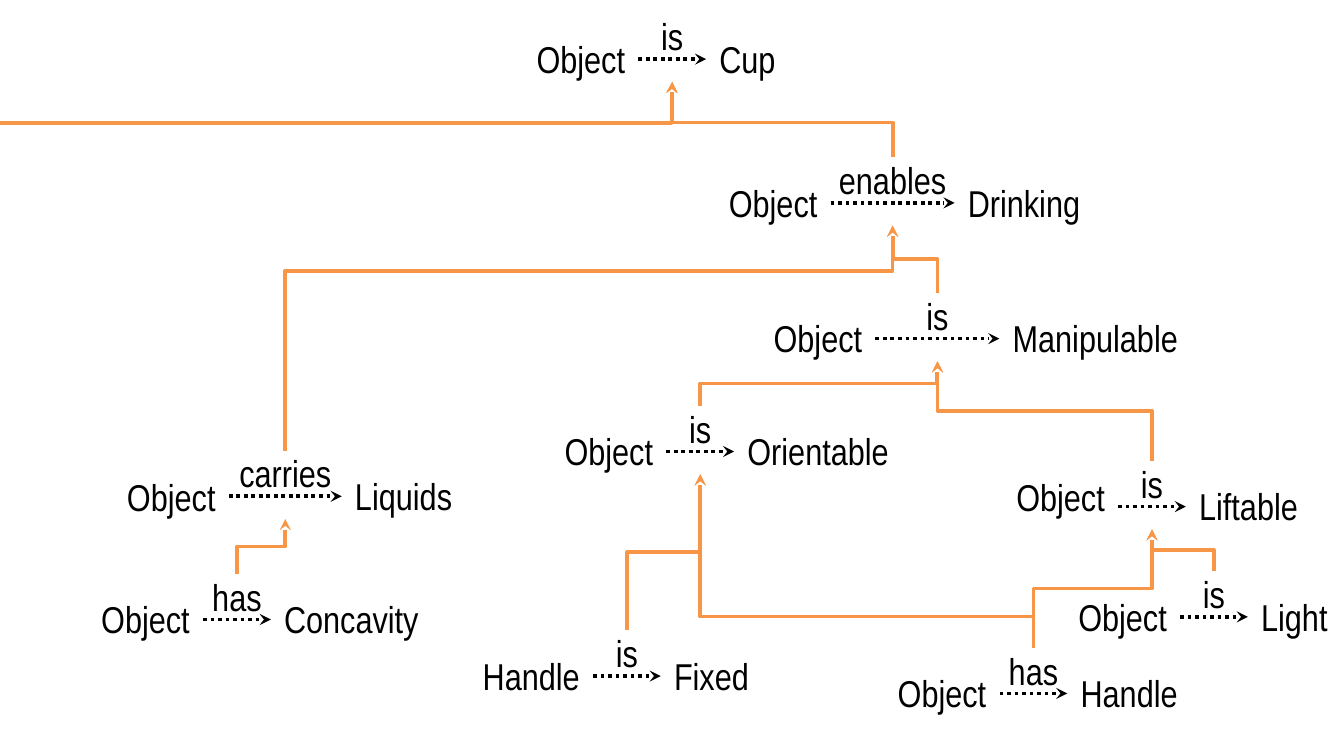
"""Draw a goal tree of subject-verb-object statements explaining what makes an object a cup."""
from dataclasses import dataclass

from lxml.etree import SubElement
from pptx import Presentation
from pptx.dml.color import RGBColor
from pptx.enum.dml import MSO_LINE
from pptx.enum.shapes import MSO_CONNECTOR as Link
from pptx.enum.text import MSO_ANCHOR as Anchor, MSO_AUTO_SIZE as AutoSize, PP_ALIGN as Align
from pptx.oxml.ns import qn
from pptx.util import Pt

COLORS = {"text": "000000", "relation": "000000", "support": "F79646"}
FONT = "Arial Narrow"
SUBJECT_WIDTH = 75.6
TERM_HEIGHT = 31.7
VERB_HEIGHT = 36.7
VERB_RISE = 24.5
TARGET_DROP = 12.2


@dataclass(frozen=True)
class Statement:
    subject: str
    verb: str
    result: str
    x: float
    y: float
    result_width: float = SUBJECT_WIDTH
    arrow_width: float = 36.3
    subject_shift: float = 0

    @property
    def center(self) -> float:
        return self.x + self.arrow_width / 2


@dataclass(frozen=True)
class Support:
    reason: str
    conclusion: str
    bend: float = 0.5


STATEMENTS = {
    "cup": Statement("Object", "is", "Cup", 342, 31.7, 48.2),
    "drinking": Statement("Object", "enables", "Drinking", 445, 108.7, 90.7, 66.4),
    "manipulable": Statement("Object", "is", "Manipulable", 469, 181.4, 115.2, 66.4),
    "orientable": Statement("Object", "is", "Orientable", 357, 241.9, 108.7),
    "liquids": Statement("Object", "carries", "Liquids", 122.6, 265.9, 75.6, 60.5, 0.6),
    "liftable": Statement("Object", "is", "Liftable", 599, 271.4, 78.5, subject_shift=-5),
    "concavity": Statement("Object", "has", "Concavity", 108.8, 331.9, 103),
    "light": Statement("Object", "is", "Light", 632.2, 330.5, 78.5),
    "fixed": Statement("Handle", "is", "Fixed", 317.7, 362.2),
    "handle": Statement("Object", "has", "Handle", 535.5, 371.5),
}

SUPPORTS = [
    Support("concavity", "liquids"),
    Support("light", "liftable"),
    Support("handle", "liftable"),
    Support("liquids", "drinking", 0.8),
    Support("liftable", "manipulable"),
    Support("drinking", "cup", 0.46),
    Support("fixed", "orientable"),
    Support("manipulable", "drinking"),
    Support("orientable", "manipulable"),
    Support("handle", "orientable", 0.18),
]


def add_text(slide, text: str, left: float, top: float, width: float, height: float, *,
             align=Align.LEFT, inset: bool = True, grow: bool = False) -> None:
    box = slide.shapes.add_textbox(Pt(left), Pt(top), Pt(width), Pt(height))
    frame = box.text_frame
    frame.word_wrap = True
    frame.vertical_anchor = Anchor.TOP
    frame.auto_size = AutoSize.SHAPE_TO_FIT_TEXT if grow else AutoSize.NONE
    if not inset:
        frame.margin_left = frame.margin_right = frame.margin_top = frame.margin_bottom = 0
    paragraph = frame.paragraphs[0]
    paragraph.alignment = align
    run = paragraph.add_run()
    run.text = text
    run.font.name = FONT
    run.font.size = Pt(20)
    run.font.color.rgb = RGBColor.from_string(COLORS["text"])


def add_arrow(slide, kind, start: tuple[float, float], end: tuple[float, float],
              color: str, dotted: bool = False):
    arrow = slide.shapes.add_connector(kind, *map(Pt, start + end))
    arrow.line.color.rgb = RGBColor.from_string(COLORS[color])
    arrow.line.width = Pt(2)
    if dotted:
        arrow.line.dash_style = MSO_LINE.ROUND_DOT
    properties = arrow._element.spPr
    SubElement(properties.find(qn("a:ln")), qn("a:tailEnd"), type="stealth")
    SubElement(properties, qn("a:effectLst"))
    return arrow


def set_bend(arrow, bend: float) -> None:
    guides = arrow._element.spPr.find(qn("a:prstGeom")).find(qn("a:avLst"))
    SubElement(guides, qn("a:gd"), name="adj1", fmla=f"val {round(bend * 100000)}")


def add_statement(slide, item: Statement) -> None:
    term_top = item.y - TERM_HEIGHT / 2
    arrow_end = item.x + item.arrow_width
    add_text(slide, item.subject, item.x - SUBJECT_WIDTH, term_top + item.subject_shift,
             SUBJECT_WIDTH, TERM_HEIGHT, align=Align.RIGHT, grow=True)
    add_text(slide, item.result, arrow_end, term_top, item.result_width, TERM_HEIGHT, grow=True)
    add_arrow(slide, Link.STRAIGHT, (item.x, item.y), (arrow_end, item.y), "relation", dotted=True)
    add_text(slide, item.verb, item.x, item.y - VERB_RISE, item.arrow_width, VERB_HEIGHT,
             align=Align.CENTER, inset=False)


def add_support(slide, support: Support) -> None:
    """Lay the elbow on its side around its midpoint, then turn it to run upwards."""
    reason, conclusion = STATEMENTS[support.reason], STATEMENTS[support.conclusion]
    bottom, top = reason.y - VERB_RISE, conclusion.y + TARGET_DROP
    middle_x, middle_y = (reason.center + conclusion.center) / 2, (bottom + top) / 2
    half_rise, half_run = (bottom - top) / 2, (conclusion.center - reason.center) / 2
    arrow = add_arrow(slide, Link.ELBOW, (middle_x - half_rise, middle_y - half_run),
                      (middle_x + half_rise, middle_y + half_run), "support")
    arrow._element.spPr.find(qn("a:xfrm")).set("rot", str(270 * 60000))
    set_bend(arrow, support.bend)


def main() -> None:
    deck = Presentation()
    deck.slide_width, deck.slide_height = Pt(720), Pt(405)
    slide = deck.slides.add_slide(deck.slide_layouts[6])
    for statement in STATEMENTS.values():
        add_statement(slide, statement)
    for support in SUPPORTS:
        add_support(slide, support)
    cup = STATEMENTS["cup"]
    incoming = add_arrow(slide, Link.ELBOW, (0, 65.8), (cup.center, cup.y + TARGET_DROP), "support")
    set_bend(incoming, 0.999)
    deck.save("out.pptx")


if __name__ == "__main__":
    main()
